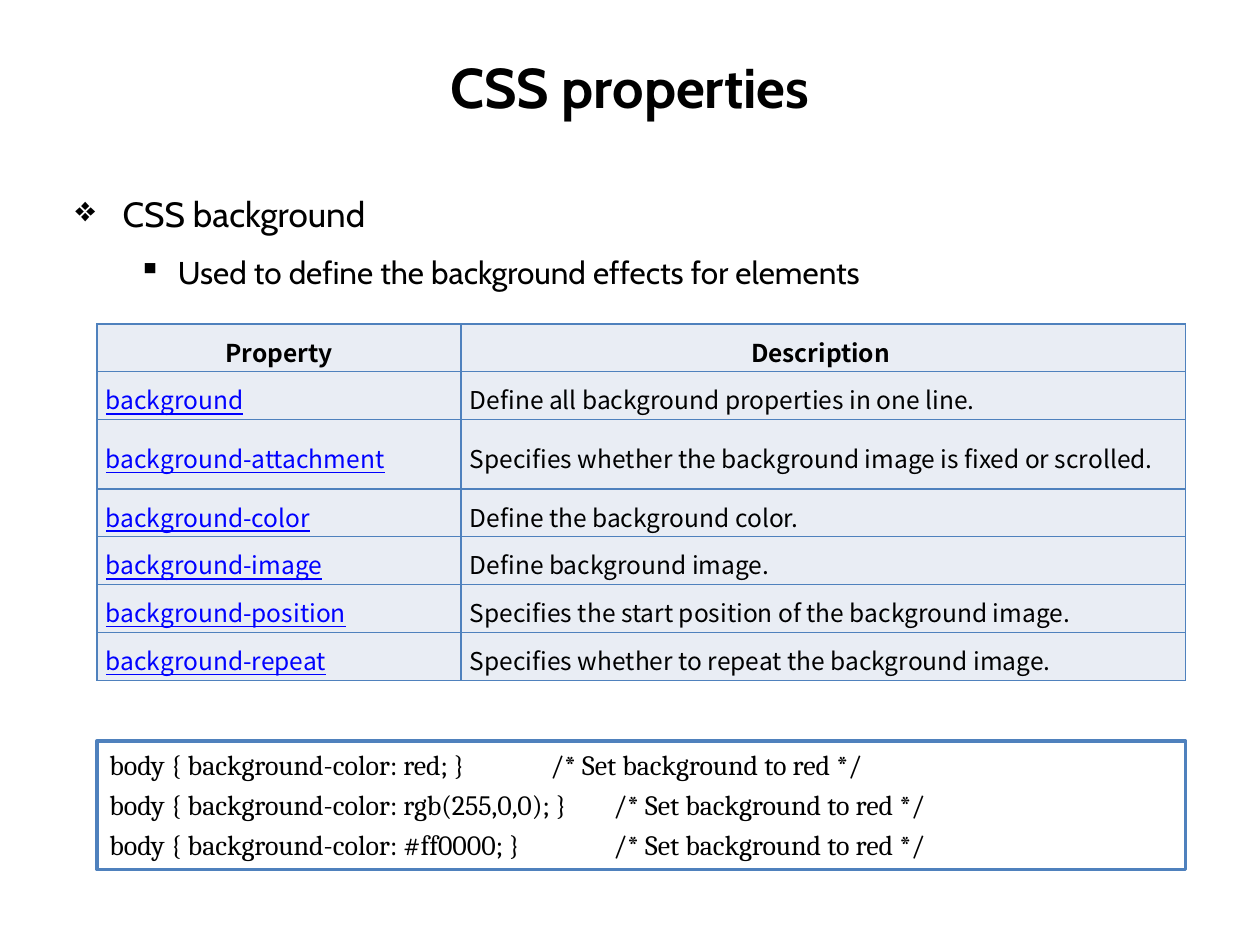
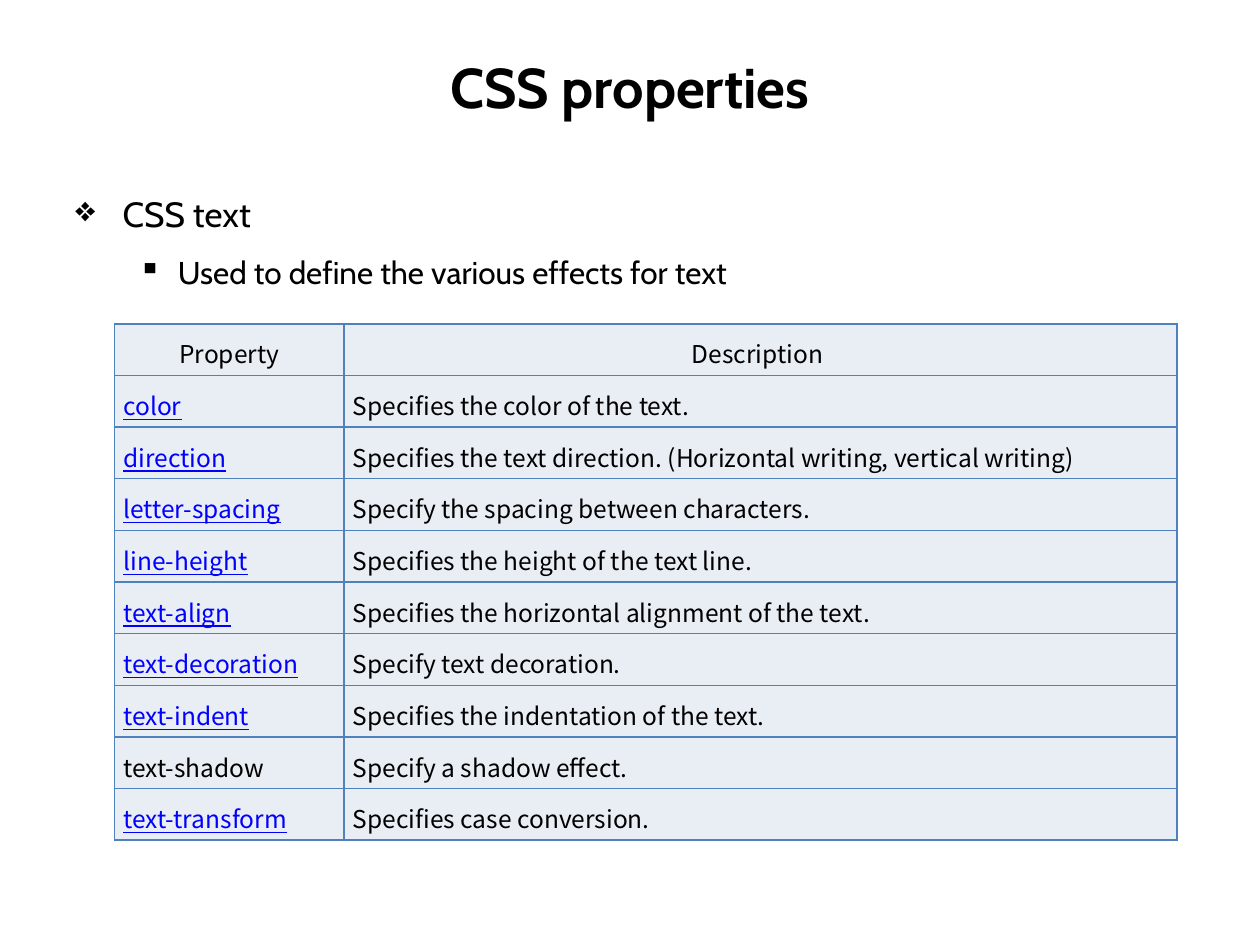
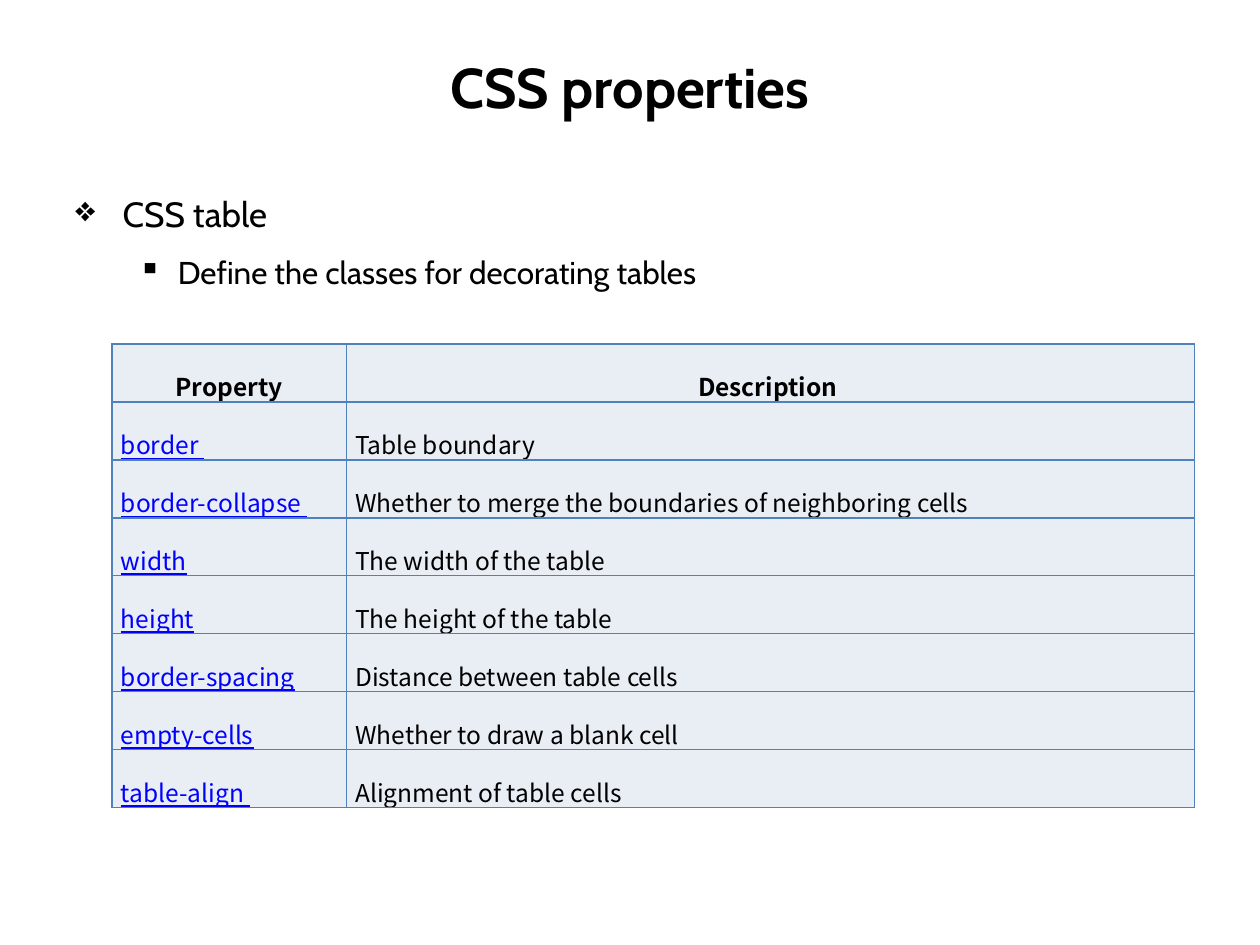
"""Build three slides on CSS properties, each with a bulleted topic and a property table."""
from dataclasses import dataclass

from lxml.etree import SubElement
from pptx import Presentation
from pptx.dml.color import RGBColor
from pptx.enum.shapes import MSO_SHAPE
from pptx.enum.text import MSO_ANCHOR, PP_ALIGN
from pptx.oxml.ns import qn
from pptx.util import Emu, Inches, Pt

SLIDE_W, SLIDE_H = Inches(10), Inches(7.5)
COLS, ROWS = 100, 75
BLACK, WHITE, LINK, RULE, CELL = "000000", "FFFFFF", "0000FF", "4F81BD", "E9EDF4"
HEAD_FONT, TABLE_FONT, CODE_FONT = "Cabin", "Noto Sans CJK KR", "Cambria"
TITLE = "CSS properties"
HEADER = ("Property", "Description ")


@dataclass(frozen=True)
class Box:
    """A rectangle in grid columns and rows."""
    left: float
    top: float
    width: float
    height: float


@dataclass(frozen=True)
class PropertyTable:
    """A two-column table of properties and their descriptions."""
    left: float
    top: float
    col_widths: tuple[float, float]
    row_height: float
    entries: tuple[tuple[str, str], ...]
    bold_header: bool = True
    line_spacing: float = 1.2
    tall_rows: tuple[tuple[int, float], ...] = ()
    unlinked: tuple[str, ...] = ()


@dataclass(frozen=True)
class Topic:
    """The content of one slide."""
    heading: str
    detail: str
    table: PropertyTable
    code: tuple[str, ...] = ()


@dataclass(frozen=True)
class Bullet:
    """A bullet level: sign, indents in columns and text size."""
    sign: str
    margin: float
    hang: float
    size: float


TITLE_BOX = Box(5, 3, 90, 7.7)
BODY_BOX = Box(5, 13.1, 90, 58.3)
CODE_BOX = Box(7.7, 58.8, 86.4, 10.2)
BULLETS = (Bullet("❖", 3.75, 3.75, 20), Bullet("▪", 8.13, 3.13, 18))

TOPICS = (
    Topic(
        "CSS background",
        "Used to define the background effects for elements",
        PropertyTable(7.7, 25.7, (28.9, 57.5), 3.8, (
            ("background", "Define all background properties in one line. "),
            ("background-attachment",
             "Specifies whether the background image is fixed or scrolled. "),
            ("background-color", "Define the background color. "),
            ("background-image", "Define background image. "),
            ("background-position", "Specifies the start position of the background image. "),
            ("background-repeat", "Specifies whether to repeat the background image. "),
        ), tall_rows=((2, 5.5),)),
        (
            "body { background-color: red; } \t\t/* Set background to red */",
            "body { background-color: rgb(255,0,0); }\t/* Set background to red */",
            "body { background-color: #ff0000; }\t\t/* Set background to red */",
        ),
    ),
    Topic(
        "CSS text",
        "Used to define the various effects for text",
        PropertyTable(9.1, 25.7, (18.2, 66.1), 4.1, (
            ("color", "Specifies the color of the text."),
            ("direction", "Specifies the text direction. (Horizontal writing, vertical writing)"),
            ("letter-spacing", "Specify the spacing between characters."),
            ("line-height", "Specifies the height of the text line."),
            ("text-align", "Specifies the horizontal alignment of the text."),
            ("text-decoration", "Specify text decoration. "),
            ("text-indent", "Specifies the indentation of the text."),
            ("text-shadow", "Specify a shadow effect. "),
            ("text-transform", "Specifies case conversion."),
        ), bold_header=False, unlinked=("text-shadow",)),
    ),
    Topic(
        "CSS table",
        "Define the classes for decorating tables",
        PropertyTable(8.9, 27.3, (18.6, 67.3), 4.6, (
            ("border ", "Table boundary"),
            ("border-collapse ", "Whether to merge the boundaries of neighboring cells"),
            ("width", "The width of the table"),
            ("height", "The height of the table"),
            ("border-spacing", "Distance between table cells"),
            ("empty-cells", "Whether to draw a blank cell"),
            ("table-align ", "Alignment of table cells"),
        ), line_spacing=1.6),
    ),
)


def rgb(color: str) -> RGBColor:
    """Turn a hex string into a colour."""
    return RGBColor.from_string(color)


def x(cols: float) -> Emu:
    """Turn grid columns into a length."""
    return Emu(round(SLIDE_W * cols / COLS))


def y(rows: float) -> Emu:
    """Turn grid rows into a length."""
    return Emu(round(SLIDE_H * rows / ROWS))


def place(box: Box) -> tuple[Emu, Emu, Emu, Emu]:
    """Give left, top, width and height of a box."""
    return x(box.left), y(box.top), x(box.width), y(box.height)


def style(p, font: str, size: float, color: str = BLACK, bold: bool = False,
          underline: bool = False, align: PP_ALIGN = PP_ALIGN.LEFT) -> None:
    """Align a paragraph and format its runs."""
    p.alignment = align
    for r in p.runs:
        r.font.name, r.font.size = font, Pt(size)
        r.font.bold, r.font.underline = bold, underline
        r.font.color.rgb = rgb(color)


def add_bullet(p, bullet: Bullet) -> None:
    """Give a paragraph a hanging bullet."""
    pPr = p._p.get_or_add_pPr()
    pPr.set("marL", str(x(bullet.margin)))
    pPr.set("indent", str(-x(bullet.hang)))
    SubElement(pPr, qn("a:buChar"), char=bullet.sign)


def add_title(s) -> None:
    """Draw the shared slide title."""
    tf = s.shapes.add_textbox(*place(TITLE_BOX)).text_frame
    tf.word_wrap = True
    tf.vertical_anchor = MSO_ANCHOR.MIDDLE
    tf.text = TITLE
    style(tf.paragraphs[0], HEAD_FONT, 32, bold=True, align=PP_ALIGN.CENTER)


def add_body(s, topic: Topic) -> None:
    """Draw the heading and its detail as two bullet levels."""
    tf = s.shapes.add_textbox(*place(BODY_BOX)).text_frame
    tf.word_wrap = True
    tf.text = f"{topic.heading}\n{topic.detail}"
    for level, (p, bullet) in enumerate(zip(tf.paragraphs, BULLETS)):
        p.level = level
        p.line_spacing = 1.5
        style(p, HEAD_FONT, bullet.size, align=PP_ALIGN.JUSTIFY)
        add_bullet(p, bullet)


def format_cell(cell) -> None:
    """Set the margins, borders and fill of a table cell."""
    cell.margin_left = cell.margin_right = x(0.7)
    cell.margin_top = cell.margin_bottom = y(0.2)
    cell.vertical_anchor = MSO_ANCHOR.MIDDLE
    tcPr = cell._tc.get_or_add_tcPr()
    for side in ("lnL", "lnR", "lnT", "lnB"):
        ln = SubElement(tcPr, qn(f"a:{side}"), w=str(Pt(1)))
        SubElement(SubElement(ln, qn("a:solidFill")), qn("a:srgbClr"), val=RULE)
    cell.fill.solid()
    cell.fill.fore_color.rgb = rgb(CELL)


def add_property_table(s, spec: PropertyTable) -> None:
    """Draw a property table."""
    lines = (HEADER, *spec.entries)
    heights = [spec.row_height] * len(lines)
    for row, height in spec.tall_rows:
        heights[row] = height
    box = Box(spec.left, spec.top, sum(spec.col_widths), sum(heights))
    table = s.shapes.add_table(len(lines), len(HEADER), *place(box)).table
    table.first_row = table.horz_banding = False
    for column, width in zip(table.columns, spec.col_widths):
        column.width = x(width)
    for i, (line, height) in enumerate(zip(lines, heights)):
        table.rows[i].height = y(height)
        for j, text in enumerate(line):
            cell = table.cell(i, j)
            format_cell(cell)
            cell.text_frame.text = text
            p = cell.text_frame.paragraphs[0]
            p.line_spacing = spec.line_spacing
            header = i == 0
            linked = not header and j == 0 and text not in spec.unlinked
            style(p, TABLE_FONT, 14, LINK if linked else BLACK, header and spec.bold_header,
                  linked, PP_ALIGN.CENTER if header else PP_ALIGN.JUSTIFY)


def add_code(s, lines: tuple[str, ...]) -> None:
    """Draw a framed code sample."""
    sp = s.shapes.add_shape(MSO_SHAPE.RECTANGLE, *place(CODE_BOX))
    sp.shadow.inherit = False
    sp.fill.solid()
    sp.fill.fore_color.rgb = rgb(WHITE)
    sp.line.color.rgb = rgb(RULE)
    sp.line.width = Pt(2)
    tf = sp.text_frame
    tf.word_wrap = True
    tf.vertical_anchor = MSO_ANCHOR.TOP
    tf.text = "\n".join(lines)
    for p in tf.paragraphs:
        p.space_before = Pt(3.75)
        style(p, CODE_FONT, 16)


def main() -> None:
    """Build and save the presentation."""
    prs = Presentation()
    prs.slide_width, prs.slide_height = SLIDE_W, SLIDE_H
    for topic in TOPICS:
        s = prs.slides.add_slide(prs.slide_layouts[6])
        add_title(s)
        add_property_table(s, topic.table)
        if topic.code:
            add_code(s, topic.code)
        add_body(s, topic)
    prs.save("out.pptx")


if __name__ == "__main__":
    main()
